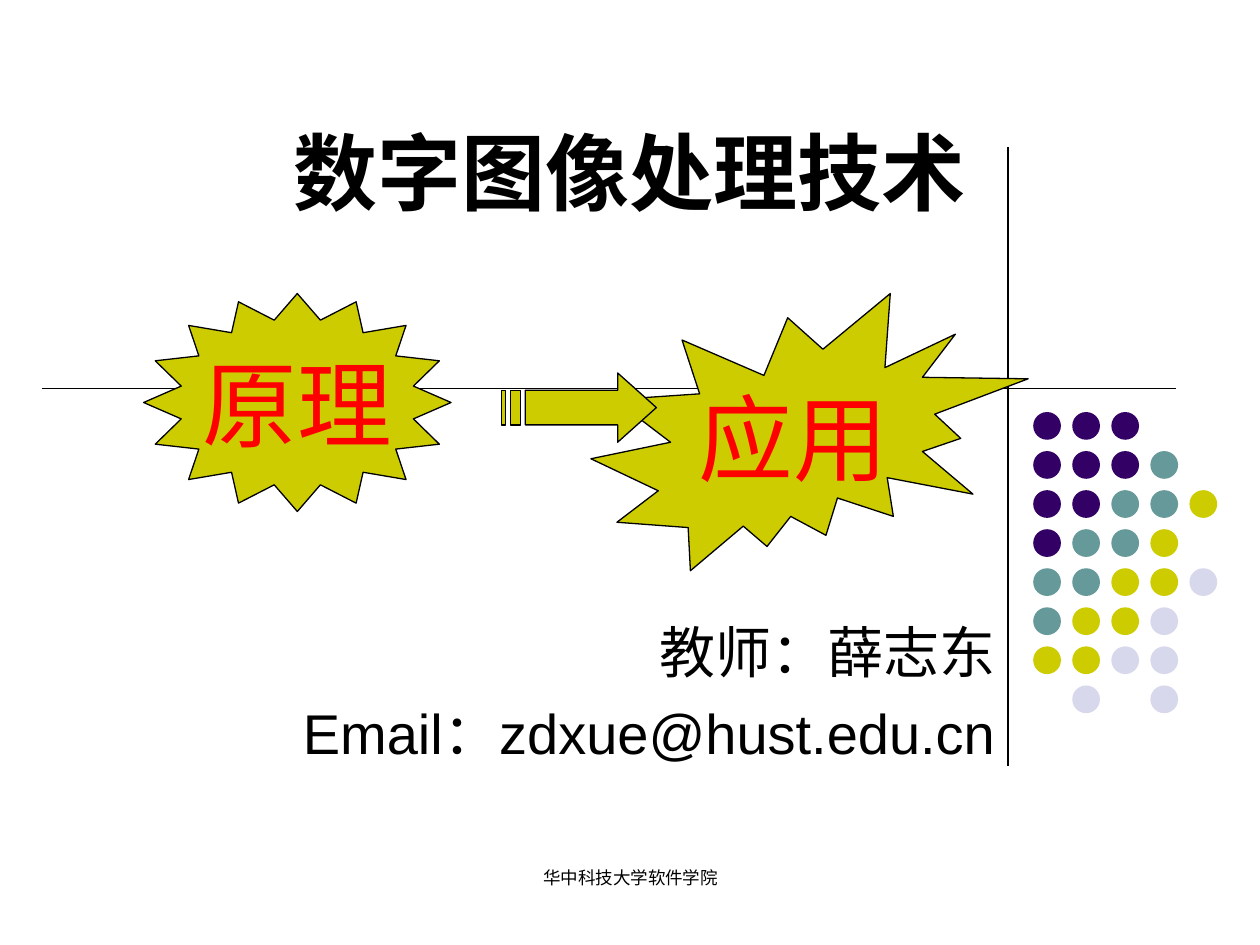
from math import cos, pi, sin

from lxml import etree
from pptx import Presentation
from pptx.dml.color import RGBColor
from pptx.enum.shapes import MSO_CONNECTOR, MSO_SHAPE
from pptx.enum.text import MSO_ANCHOR, PP_ALIGN
from pptx.oxml.ns import qn
from pptx.util import Inches, Pt

STRAIGHT = MSO_CONNECTOR.STRAIGHT
ELLIPSE = MSO_SHAPE.OVAL
BURST = MSO_SHAPE.EXPLOSION2
CENTER, RIGHT = PP_ALIGN.CENTER, PP_ALIGN.RIGHT
TOP, MIDDLE = MSO_ANCHOR.TOP, MSO_ANCHOR.MIDDLE

COLORS = {
    "black": "000000",
    "red": "FF0000",
    "purple": "330066",
    "teal": "669999",
    "olive": "CCCC00",
    "lavender": "D8D8EC",
}
DOT_COLORS = {"P": "purple", "T": "teal", "O": "olive", "L": "lavender"}
DOT_ROWS = ["PPP", "PPPT", "PPTTO", "PTTO", "TTOOL", "TOOL", "OOLL", " L L"]


def color(name):
    return RGBColor.from_string(COLORS[name])


def write(shape, lines, size, align=CENTER, anchor=TOP, wrap=True, space=0,
          font_color="black", bold=False):
    frame = shape.text_frame
    frame_format = {
        "word_wrap": wrap, "vertical_anchor": anchor,
        "margin_left": Inches(0.1), "margin_right": Inches(0.1),
        "margin_top": Inches(0.05), "margin_bottom": Inches(0.05),
    }
    for name, value in frame_format.items():
        setattr(frame, name, value)
    font_format = {"name": "Arial", "size": Pt(size), "bold": bold}
    for index, line in enumerate(lines):
        paragraph = frame.add_paragraph() if index else frame.paragraphs[0]
        paragraph.alignment = align
        if index:
            paragraph.space_before = Pt(space)
        run = paragraph.add_run()
        run.text = line
        for name, value in font_format.items():
            setattr(run.font, name, value)
        run.font.color.rgb = color(font_color)


def add_text(slide, box, lines, size, **options):
    write(slide.shapes.add_textbox(*map(Inches, box)), lines, size, **options)


def add_rule(slide, start, end, width):
    """Draw a thin straight line across the slide."""
    line = slide.shapes.add_connector(STRAIGHT, *map(Inches, start + end))
    line.line.color.rgb = color("black")
    line.line.width = Pt(width)
    etree.SubElement(line._element.spPr, qn("a:effectLst"))


def paint(shape, fill, outlined=True):
    shape.shadow.inherit = False
    shape.fill.solid()
    shape.fill.fore_color.rgb = color(fill)
    if outlined:
        shape.line.color.rgb = color("black")
        shape.line.width = Pt(0.75)
    else:
        shape.line.fill.background()


def add_dots(slide, left, top, step=0.31, size=0.22):
    group = slide.shapes.add_group_shape()
    for row, codes in enumerate(DOT_ROWS):
        for column, code in enumerate(codes):
            if code in DOT_COLORS:
                box = (left + column * step, top + row * step, size, size)
                dot = group.shapes.add_shape(ELLIPSE, *map(Inches, box))
                paint(dot, DOT_COLORS[code], outlined=False)


def add_outline(slide, contours):
    """Build one olive shape from closed contours given in inches."""
    contours = [[(Inches(x), Inches(y)) for x, y in contour] for contour in contours]
    builder = slide.shapes.build_freeform(*contours[0][0])
    for index, contour in enumerate(contours):
        if index:
            builder.move_to(*contour[0])
        builder.add_line_segments(contour[1:], close=True)
    shape = builder.convert_to_shape()
    paint(shape, "olive")
    return shape


def add_star(slide, box, text, tips=16, inner=0.77):
    left, top, width, height = box
    points = []
    for index in range(2 * tips):
        angle = pi + index * pi / tips
        radius = inner if index % 2 else 1
        points.append((left + width / 2 * (1 + radius * cos(angle)),
                       top + height / 2 * (1 + radius * sin(angle))))
    star = add_outline(slide, [points])
    write(star, [text], 54, anchor=MIDDLE, wrap=False, font_color="red")


def add_burst(slide, box, text):
    burst = slide.shapes.add_shape(BURST, *map(Inches, box))
    paint(burst, "olive")
    write(burst, [text], 54, anchor=MIDDLE, wrap=False, font_color="red")


def add_striped_arrow(slide, box):
    left, top, width, height = box
    right, bottom, neck = left + width, top + height, left + 0.75 * width
    upper, lower = top + height / 4, bottom - height / 4
    arrow = [(neck, top), (neck, upper), (left + 0.19, upper), (left + 0.19, lower),
             (neck, lower), (neck, bottom), (right, top + height / 2)]
    stripes = [
        [(start, upper), (start, lower), (end, lower), (end, upper)]
        for start, end in [(left + 0.07, left + 0.15), (left, left + 0.03)]
    ]
    add_outline(slide, [arrow] + stripes)


def build_title_slide(slide):
    add_rule(slide, (8, 1.17), (8, 6.08), 0.75)
    add_dots(slide, 8.2, 3.27)
    add_rule(slide, (0.33, 3.08), (9.33, 3.08), 0.5)
    add_text(slide, (3.42, 6.83, 3.17, 0.5), ["华中科技大学软件学院"], 10)
    add_text(slide, (1, 4.85, 7, 1.71), ["教师：薛志东", "Email：zdxue@hust.edu.cn"],
             32, align=RIGHT, space=8)
    add_text(slide, (1.93, 0.91, 6.14, 0.9), ["数字图像处理技术"], 48, bold=True)
    add_burst(slide, (4.69, 2.33, 3.47, 2.2), "应用")
    add_star(slide, (1.14, 2.33, 2.44, 1.73), "原理")
    add_striped_arrow(slide, (3.98, 2.96, 1.23, 0.55))


def main():
    presentation = Presentation()
    presentation.slide_width = Inches(10)
    presentation.slide_height = Inches(7.5)
    build_title_slide(presentation.slides.add_slide(presentation.slide_layouts[6]))
    presentation.save("out.pptx")


if __name__ == "__main__":
    main()
